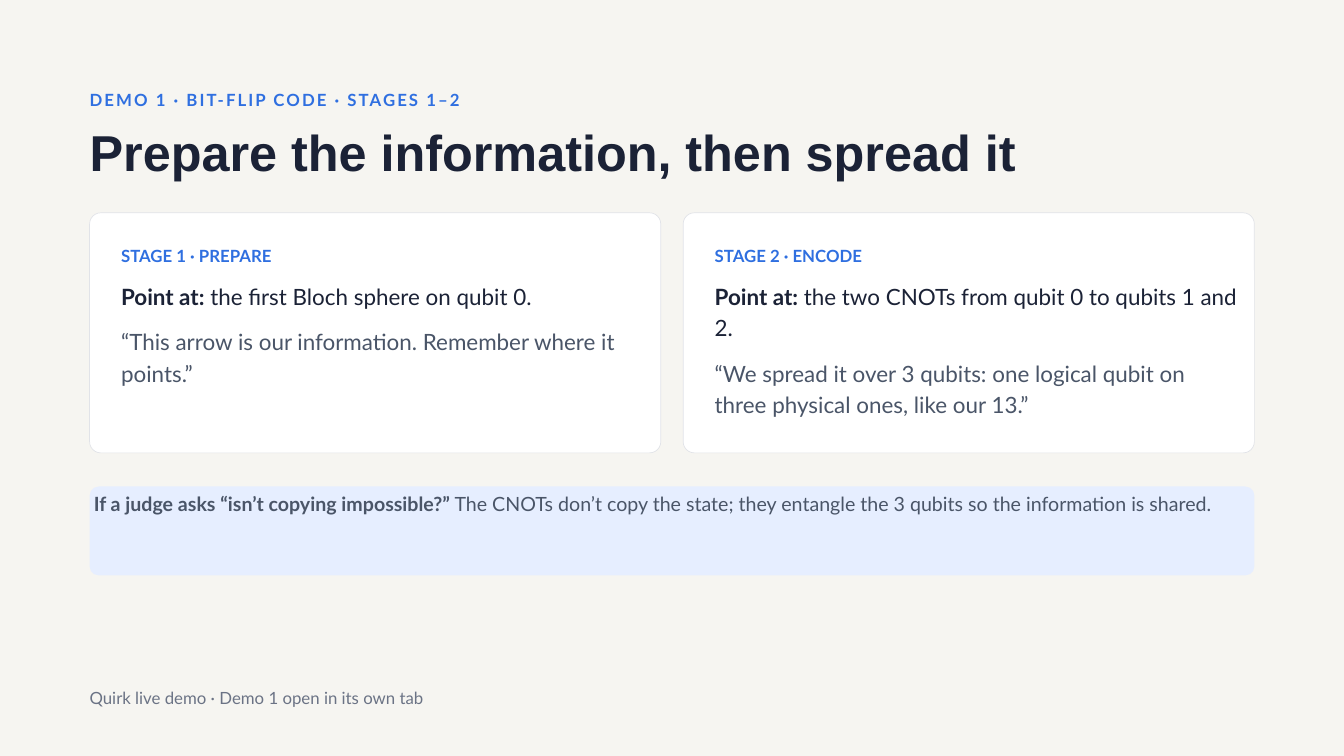
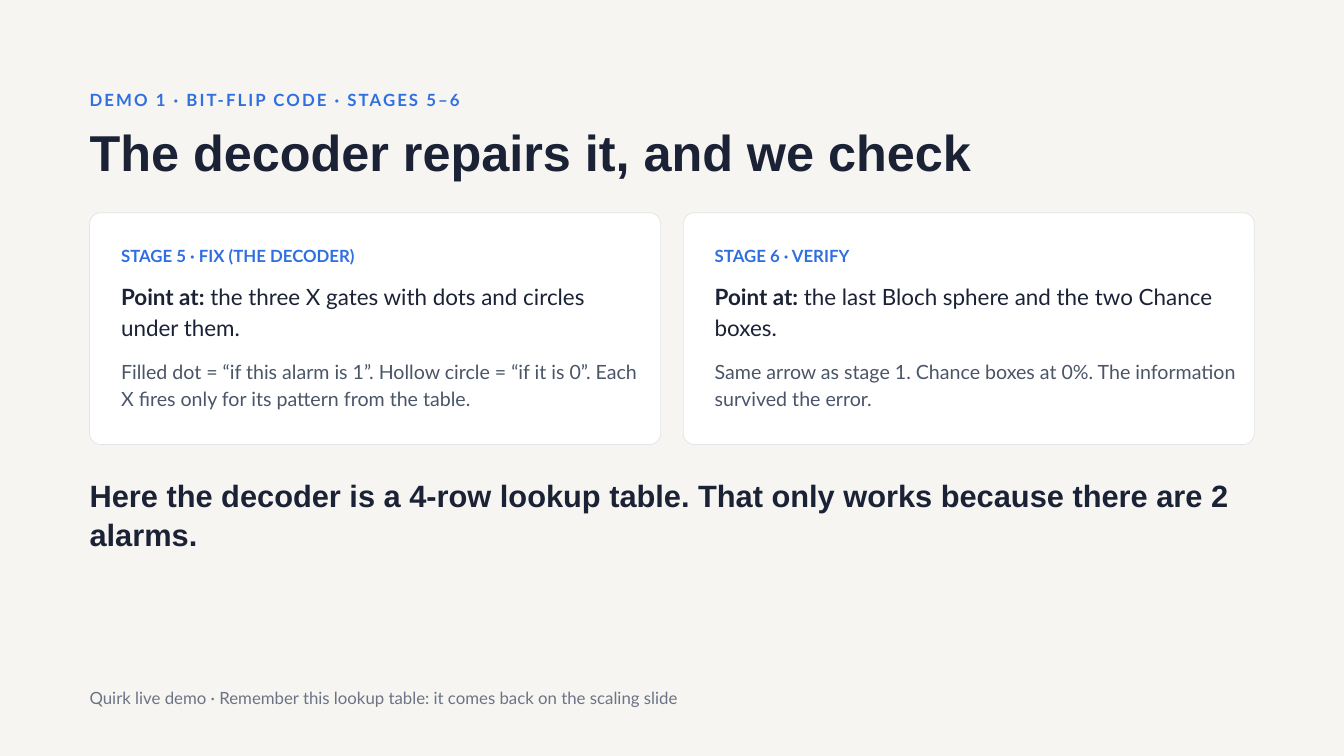
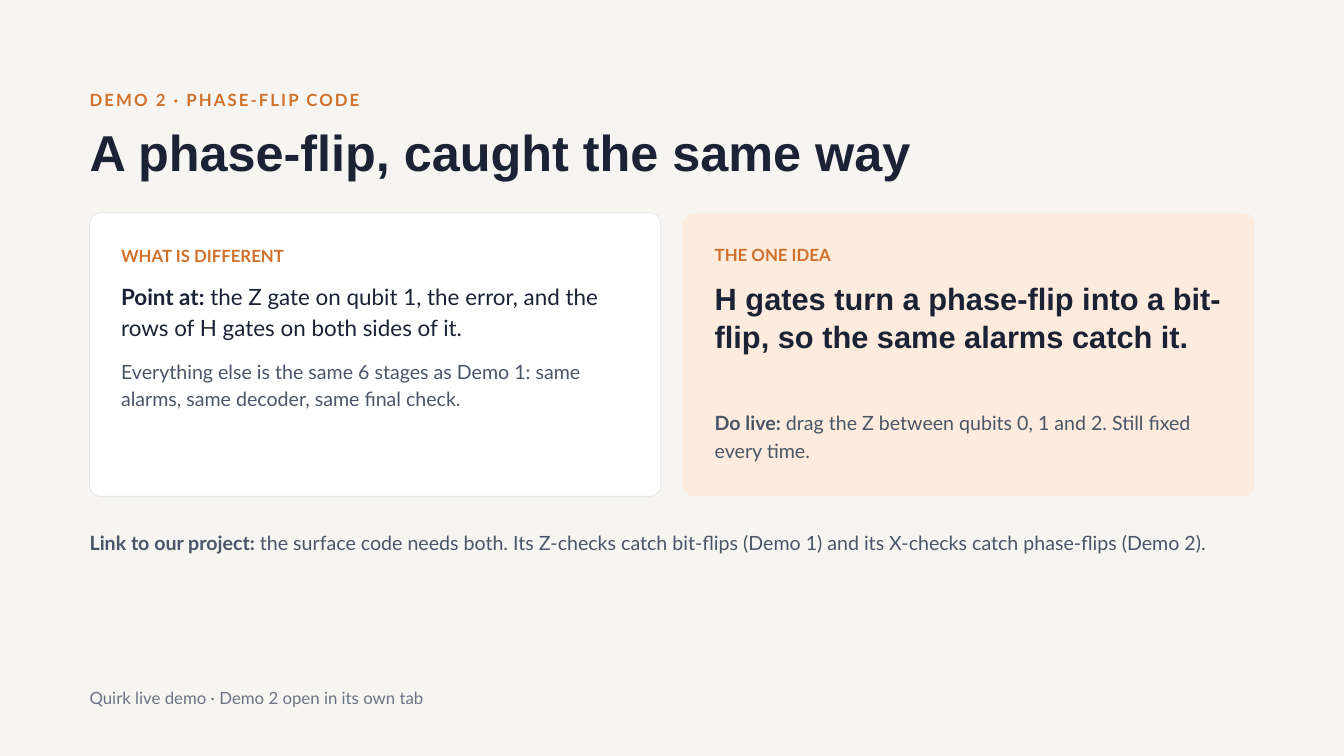
from pptx import Presentation
from pptx import util as u
from pptx.dml.color import RGBColor
from pptx.enum import shapes, text
from pptx.oxml.ns import qn

PX = 9525  # EMU; 96 px to the inch

PAPER, WHITE, RULE = "F6F5F1", "FFFFFF", "E1E3E8"
INK, SLATE, GREY = "1B2236", "4A5568", "6B7385"
BLUE, ORANGE = "2F6FE0", "D0702A"
PALE_BLUE, PALE_ORANGE = "E6EEFF", "FDEBDD"

# font, size and line spacing in points, colour, bold
TITLE = ("Arial", 54, 59.4, INK, True)
CLAIM = ("Arial", 33, 41.2, INK, True)
POINT = ("Lato", 24, 33.6, INK, False)
QUOTE = ("Lato", 24, 33.6, SLATE, False)
DETAIL = ("Lato", 21, 29.4, SLATE, False)
FOOTER = ("Lato", 18, 25.2, GREY, False)
LABELS = {accent: ("Lato", 18, 25.2, accent, True) for accent in (BLUE, ORANGE)}

MARGIN, CONTENT_W, WIDE = 128, 1664, 1714
CARD_TOP, CARD_W, CARD_GAP, CARD_PAD = 304, 816, 32, 45
CARD_TEXT_W, PARA_GAP, LABEL_H = 749, 11, 41

# Each card: fill, label, then (style, height, bold lead, wording).
# Each closing line: style, top, width, height, bold lead, wording.
SLIDES = [
    {
        "accent": BLUE,
        "kicker": "DEMO 1 · BIT-FLIP CODE · STAGES 1–2",
        "title": "Prepare the information, then spread it",
        "card_h": 343,
        "cards": [
            (WHITE, "STAGE 1 · PREPARE", [
                (POINT, 54, "Point at:", " the first Bloch sphere on qubit 0."),
                (QUOTE, 99, "", "“This arrow is our information. Remember where it points.”"),
            ]),
            (WHITE, "STAGE 2 · ENCODE", [
                (POINT, 99, "Point at:", " the two CNOTs from qubit 0 to qubits 1 and 2."),
                (QUOTE, 99, "", "“We spread it over 3 qubits: one logical qubit on three "
                                "physical ones, like our 13.”"),
            ]),
        ],
        "banner": (695, 127),
        "closing": (DETAIL, 691, CONTENT_W, 131, "If a judge asks “isn’t copying impossible?”",
                    " The CNOTs don’t copy the state; they entangle the 3 qubits "
                    "so the information is shared."),
        "footer": "Quirk live demo · Demo 1 open in its own tab",
    },
    {
        "accent": BLUE,
        "kicker": "DEMO 1 · BIT-FLIP CODE · STAGES 5–6",
        "title": "The decoder repairs it, and we check",
        "card_h": 331,
        "cards": [
            (WHITE, "STAGE 5 · FIX (THE DECODER)", [
                (POINT, 99, "Point at:", " the three X gates with dots and circles under them."),
                (DETAIL, 87, "", "Filled dot = “if this alarm is 1”. Hollow circle = “if it is 0”. "
                                 "Each X fires only for its pattern from the table."),
            ]),
            (WHITE, "STAGE 6 · VERIFY", [
                (POINT, 99, "Point at:", " the last Bloch sphere and the two Chance boxes."),
                (DETAIL, 87, "", "Same arrow as stage 1. Chance boxes at 0%. "
                                 "The information survived the error."),
            ]),
        ],
        "closing": (CLAIM, 679, WIDE, 119, "", "Here the decoder is a 4-row lookup table. "
                    "That only works because there are 2 alarms."),
        "footer": "Quirk live demo · Remember this lookup table: "
                  "it comes back on the scaling slide",
    },
    {
        "accent": ORANGE,
        "kicker": "DEMO 2 · PHASE-FLIP CODE",
        "title": "A phase-flip, caught the same way",
        "card_h": 405,
        "cards": [
            (WHITE, "WHAT IS DIFFERENT", [
                (POINT, 99, "Point at:", " the Z gate on qubit 1, the error, and the rows of "
                                         "H gates on both sides of it."),
                (DETAIL, 87, "", "Everything else is the same 6 stages as Demo 1: same alarms, "
                                 "same decoder, same final check."),
            ]),
            (PALE_ORANGE, "THE ONE IDEA", [
                (CLAIM, 174, "", "H gates turn a phase-flip into a bit-flip, "
                                 "so the same alarms catch it."),
                (DETAIL, 87, "Do live:", " drag the Z between qubits 0, 1 and 2. "
                                         "Still fixed every time."),
            ]),
        ],
        "closing": (DETAIL, 753, 1792, 48, "Link to our project:",
                    " the surface code needs both. Its Z-checks catch bit-flips (Demo 1) "
                    "and its X-checks catch phase-flips (Demo 2)."),
        "footer": "Quirk live demo · Demo 2 open in its own tab",
    },
]


def write(slide, bounds, style, wording, lead="", inset=0):
    """Add a text box; lead is a bold opening before the wording."""
    font, size, leading, colour, bold = style
    box = slide.shapes.add_textbox(*(n * PX for n in bounds))
    frame = box.text_frame
    frame.word_wrap = True
    frame.auto_size = text.MSO_AUTO_SIZE.NONE if inset else text.MSO_AUTO_SIZE.SHAPE_TO_FIT_TEXT
    frame.margin_left = frame.margin_right = frame.margin_top = frame.margin_bottom = inset * PX
    paragraph = frame.paragraphs[0]
    paragraph.line_spacing = u.Pt(leading)
    for part, heavy in ((lead, True), (wording, bold)):
        if part:
            run = paragraph.add_run()
            run.text = part
            run.font.name, run.font.size, run.font.bold = font, u.Pt(size), heavy
            run.font.color.rgb = RGBColor.from_string(colour)
    return box


def panel(slide, bounds, fill, radius):
    """Add a rounded panel; only white ones are outlined."""
    shape = slide.shapes.add_shape(shapes.MSO_SHAPE.ROUNDED_RECTANGLE, *(n * PX for n in bounds))
    shape.adjustments[0] = radius / min(bounds[2:])
    shape.shadow.inherit = False
    shape.fill.solid()
    shape.fill.fore_color.rgb = RGBColor.from_string(fill)
    if fill == WHITE:
        shape.line.color.rgb = RGBColor.from_string(RULE)
        shape.line.width = u.Pt(0.75)
    else:
        shape.line.fill.background()


deck = Presentation()
deck.slide_width, deck.slide_height = 1920 * PX, 1080 * PX

for content in SLIDES:
    slide = deck.slides.add_slide(deck.slide_layouts[6])
    slide.background.fill.solid()
    slide.background.fill.fore_color.rgb = RGBColor.from_string(PAPER)
    label_style = LABELS[content["accent"]]

    kicker = write(slide, (MARGIN, 124, WIDE, LABEL_H), label_style, content["kicker"])
    for properties in kicker.element.iter(qn("a:rPr")):
        properties.set("spc", "220")
    write(slide, (MARGIN, 180, WIDE, 82), TITLE, content["title"])

    for column, (fill, label, passages) in enumerate(content["cards"]):
        left = MARGIN + column * (CARD_W + CARD_GAP)
        panel(slide, (left, CARD_TOP, CARD_W, content["card_h"]), fill, 16)
        top = CARD_TOP + (42 if fill == WHITE else 41)
        for style, height, lead, wording in [(label_style, LABEL_H, "", label)] + passages:
            write(slide, (left + CARD_PAD, top, CARD_TEXT_W, height), style, wording, lead)
            top += height + PARA_GAP

    if "banner" in content:
        banner_top, banner_h = content["banner"]
        panel(slide, (MARGIN, banner_top, CONTENT_W, banner_h), PALE_BLUE, 13)
    style, top, width, height, lead, wording = content["closing"]
    write(slide, (MARGIN, top, width, height), style, wording, lead,
          inset=6 if "banner" in content else 0)
    write(slide, (MARGIN, 978, WIDE, LABEL_H), FOOTER, content["footer"])

deck.save("out.pptx")
